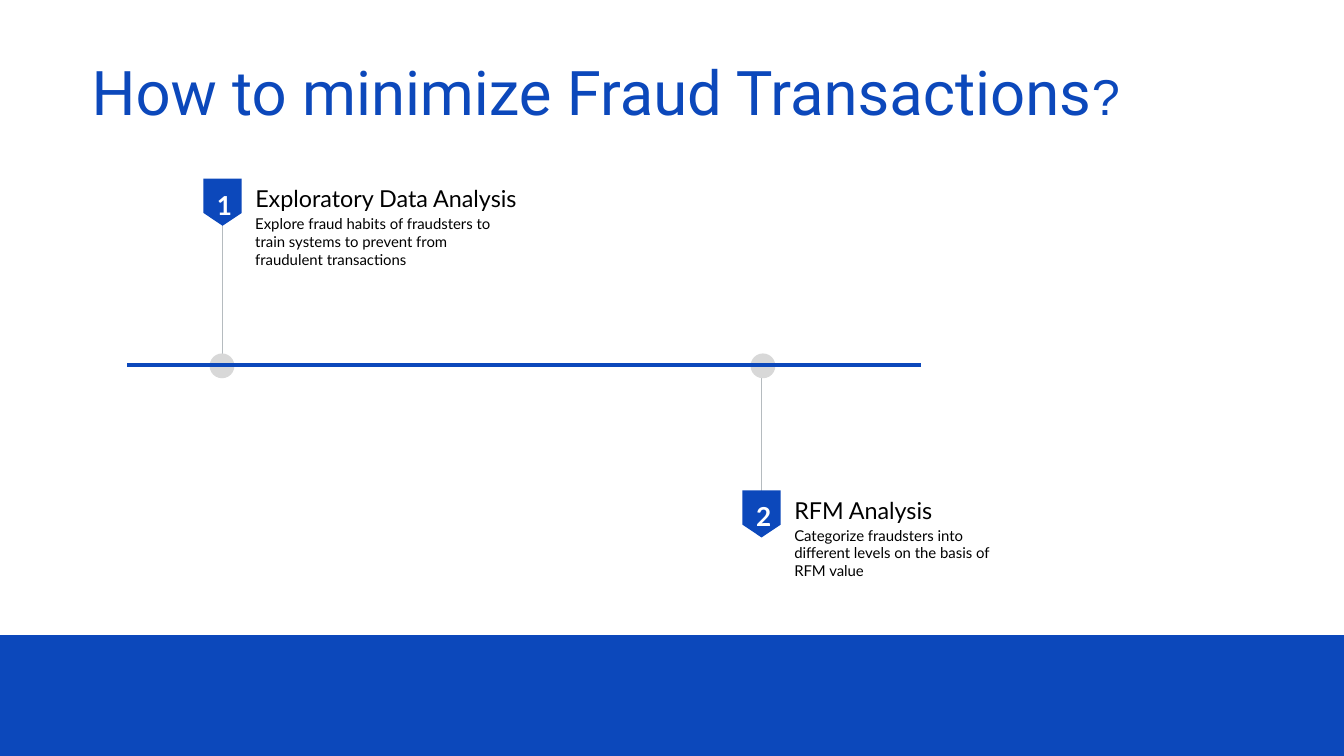
from lxml import etree
from pptx import Presentation
from pptx.dml.color import RGBColor
from pptx.enum.shapes import MSO_CONNECTOR, MSO_SHAPE
from pptx.enum.text import MSO_ANCHOR, MSO_AUTO_SIZE, PP_ALIGN
from pptx.oxml.ns import qn
from pptx.util import Pt

STRAIGHT = MSO_CONNECTOR.STRAIGHT
OVAL = MSO_SHAPE.OVAL
TOP = MSO_ANCHOR.TOP
LEFT = PP_ALIGN.LEFT
NO_AUTOSIZE = MSO_AUTO_SIZE.NONE

BLUE = RGBColor(0x0C, 0x48, 0xBB)
GREY_LINE = RGBColor(0xB5, 0xBB, 0xBF)
GREY_DOT = RGBColor(0xD8, 0xD8, 0xD8)
WHITE = RGBColor(0xFF, 0xFF, 0xFF)
BLACK = RGBColor(0, 0, 0)

deck = Presentation()
deck.slide_width = Pt(1440)
deck.slide_height = Pt(810)
page = deck.slides.add_slide(deck.slide_layouts[5])


def add_polygon(points, color):
    start, *rest = [(Pt(x), Pt(y)) for x, y in points]
    builder = page.shapes.build_freeform(*start)
    builder.add_line_segments(rest, close=True)
    shape = builder.convert_to_shape()
    shape.shadow.inherit = False
    shape.fill.solid()
    shape.fill.fore_color.rgb = color
    shape.line.fill.background()


def add_text(left, top, width, height, text, size, color, bold=False, spacing=1.0):
    box = page.shapes.add_textbox(Pt(left), Pt(top), Pt(width), Pt(height))
    frame = box.text_frame
    frame.word_wrap = True
    frame.margin_left = frame.margin_right = 0
    frame.margin_top = frame.margin_bottom = 0
    para = frame.paragraphs[0]
    para.line_spacing = spacing
    span = para.add_run()
    span.text = text
    span.font.name = "Lato"
    span.font.size = Pt(size)
    span.font.bold = bold
    span.font.color.rgb = color


add_polygon([(0, 680), (1440, 680), (1440, 810), (0, 810)], BLUE)

title = page.shapes.title
title.left, title.top, title.width, title.height = Pt(91), Pt(51), Pt(1256), Pt(134)
frame = title.text_frame
frame.word_wrap = True
frame.auto_size = NO_AUTOSIZE
frame.vertical_anchor = TOP
frame.margin_left = frame.margin_right = Pt(7.2)
frame.margin_top = frame.margin_bottom = Pt(7.2)
para = frame.paragraphs[0]
para.alignment = LEFT
for text, font, size in [
    ("How to minimize Fraud Transactions", "Roboto", 66),
    ("?", "Arial", 54),
]:
    span = para.add_run()
    span.text = text
    span.font.name = font
    span.font.size = Pt(size)
    span.font.color.rgb = BLUE

MARKER_WIDTH, MARKER_HEIGHT, SHOULDER = 41, 50.4, 36.7
DOT_SIZE = 26.6
DOT_TOP = 378.7

steps = [
    ("1", 218, 191.5, 241.2, 388, 224.6, "Exploratory Data Analysis", 290,
     "Explore fraud habits of fraudsters to train systems to prevent from "
     "fraudulent transactions", 263, 58),
    ("2", 795.5, 525.5, 393.8, 540.7, 804.2, "RFM Analysis", 228,
     "Categorize fraudsters into different levels on the basis of RFM value",
     243, 39),
]

for (number, left, top, stem_top, stem_bottom, dot_left,
     heading, heading_width, detail, detail_width, detail_height) in steps:
    middle = left + MARKER_WIDTH / 2
    right = left + MARKER_WIDTH
    stem = page.shapes.add_connector(
        STRAIGHT, Pt(middle), Pt(stem_top), Pt(middle), Pt(stem_bottom))
    stem.line.color.rgb = GREY_LINE
    stem.line.width = Pt(1)
    etree.SubElement(stem._element.spPr, qn("a:effectLst"))

    add_polygon([(left, top), (left, top + SHOULDER), (middle, top + MARKER_HEIGHT),
                 (right, top + SHOULDER), (right, top)], BLUE)
    add_text(left + 14.5, top + 0.8, 16.8, 34.6, number, 28, WHITE, True, 1.3)
    add_text(left + 55.5, top - 2.8, heading_width, 39.6, heading, 25, BLACK, spacing=1.3)
    add_text(left + 55.5, top + 38.2, detail_width, detail_height, detail, 16, BLACK)

    dot = page.shapes.add_shape(OVAL, Pt(dot_left), Pt(DOT_TOP), Pt(DOT_SIZE), Pt(DOT_SIZE))
    dot.shadow.inherit = False
    dot.fill.solid()
    dot.fill.fore_color.rgb = GREY_DOT
    dot.line.fill.background()

add_polygon([(136, 389), (987, 389), (987, 393), (136, 393)], BLUE)

deck.save("out.pptx")
